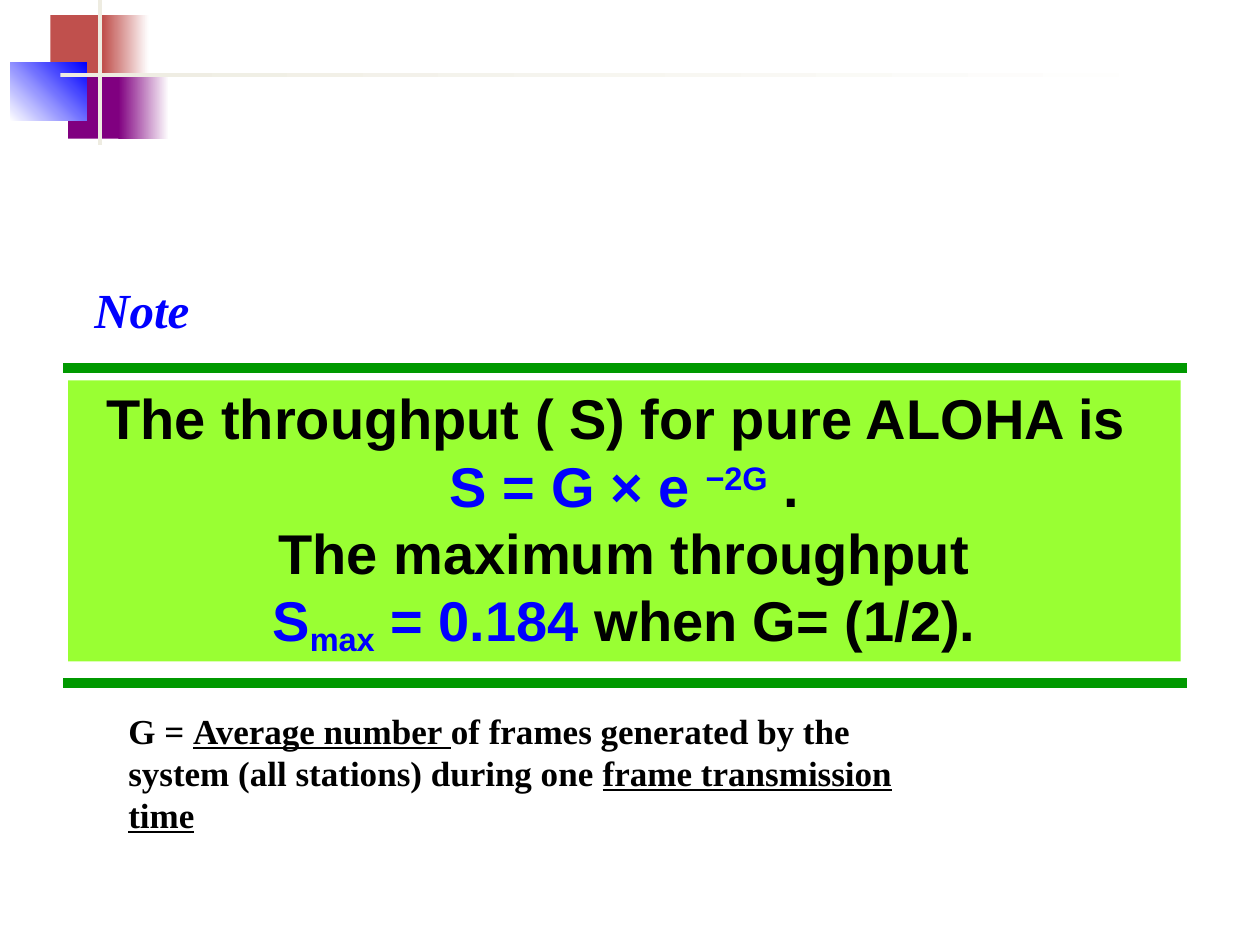
from dataclasses import dataclass
from typing import Optional

import pptx
import pptx.dml.color
import pptx.enum.shapes
import pptx.enum.text
import pptx.oxml.ns
import pptx.util
from lxml import etree

RGBColor = pptx.dml.color.RGBColor
ALIGN = pptx.enum.text.PP_ALIGN
ANCHOR = pptx.enum.text.MSO_ANCHOR
AUTO_SIZE = pptx.enum.text.MSO_AUTO_SIZE

WHITE = RGBColor(0xFF, 0xFF, 0xFF)
BLACK = RGBColor(0x00, 0x00, 0x00)
BLUE = RGBColor(0x00, 0x00, 0xFF)
RED = RGBColor(0xC0, 0x50, 0x4D)
PURPLE = RGBColor(0x80, 0x00, 0x80)
IVORY = RGBColor(0xEE, 0xEC, 0xE1)
GREEN = RGBColor(0x00, 0x99, 0x00)
LIME = RGBColor(0x99, 0xFF, 0x33)

WIDTH, HEIGHT = pptx.util.Inches(10), pptx.util.Inches(7.5)
COLUMNS, ROWS = 100, 75


@dataclass(frozen=True)
class Area:
    column: float
    row: float
    columns: float
    rows: float

    def lengths(self) -> tuple:
        return (x(self.column), y(self.row), x(self.columns), y(self.rows))


@dataclass(frozen=True)
class Block:
    area: Area
    color: RGBColor
    fade_to: Optional[RGBColor] = None
    angle: float = 0


@dataclass(frozen=True)
class Piece:
    text: str
    color: RGBColor = BLACK
    baseline: int = 0
    underline: bool = False
    breaks: bool = False


@dataclass(frozen=True)
class Style:
    font: str
    size: int
    italic: bool = False
    align: ALIGN = ALIGN.LEFT


HEADING = Style("Times New Roman", 28, italic=True)
FORMULA = Style("Arial", 32, align=ALIGN.CENTER)
DEFINITION = Style("Times New Roman", 20)

ORNAMENT = [
    Block(Area(4, 1.2, 4.8, 5.2), RED),
    Block(Area(8.2, 1.2, 3.6, 5.2), RED, WHITE),
    Block(Area(5.4, 5.8, 4.6, 5.2), PURPLE),
    Block(Area(9.4, 5.8, 4, 5.2), PURPLE, WHITE),
    Block(Area(0.8, 5, 6.1, 4.6), WHITE, BLUE, 45),
    Block(Area(7.8, 0, 0.3, 11.5), IVORY),
    Block(Area(4.8, 5.8, 90, 0.3), IVORY, WHITE),
]
RULE_ROWS = (29.2, 54.2)
PANEL = Block(Area(5.4, 30.2, 88.3, 22.3), LIME)
PANEL_TEXT = [
    [
        Piece("The throughput ( S) for pure ALOHA is ", breaks=True),
        Piece("S = G × e ", BLUE),
        Piece("−2G", BLUE, 30),
        Piece(" ."),
    ],
    [Piece("The maximum throughput")],
    [
        Piece("S", BLUE),
        Piece("max", BLUE, -18),
        Piece(" = 0.184 ", BLUE),
        Piece("when G= (1/2)."),
    ],
]
NOTE_TEXT = [[Piece("Note", BLUE)]]
DEFINITION_TEXT = [
    [
        Piece("G = "),
        Piece("Average number ", underline=True),
        Piece("of frames generated by the system (all stations) during one "),
        Piece("frame transmission time", underline=True),
    ]
]


def x(columns: float) -> int:
    return round(WIDTH * columns / COLUMNS)


def y(rows: float) -> int:
    return round(HEIGHT * rows / ROWS)


def draw_block(shapes, block: Block):
    s = shapes.add_shape(
        pptx.enum.shapes.MSO_SHAPE.RECTANGLE, *block.area.lengths()
    )
    s.shadow.inherit = False
    s.line.fill.background()
    if block.fade_to is None:
        s.fill.solid()
        s.fill.fore_color.rgb = block.color
    else:
        s.fill.gradient()
        s.fill.gradient_angle = block.angle
        for stop, color in zip(s.fill.gradient_stops, (block.color, block.fade_to)):
            stop.color.rgb = color
    return s


def draw_rule(shapes, row: float) -> None:
    s = shapes.add_connector(
        pptx.enum.shapes.MSO_CONNECTOR.STRAIGHT, x(5), y(row), x(94.2), y(row)
    )
    s.line.color.rgb = GREEN
    s.line.width = pptx.util.Pt(6)
    etree.SubElement(s._element.spPr, pptx.oxml.ns.qn("a:effectLst"))


def write(tf, paragraphs: list[list[Piece]], style: Style, wrap: bool = True) -> None:
    tf.word_wrap = wrap
    tf.auto_size = AUTO_SIZE.SHAPE_TO_FIT_TEXT
    for index, pieces in enumerate(paragraphs):
        p = tf.add_paragraph() if index else tf.paragraphs[0]
        p.alignment = style.align
        for piece in pieces:
            r = p.add_run()
            r.text = piece.text
            r.font.name = style.font
            r.font.size = pptx.util.Pt(style.size)
            r.font.bold = True
            r.font.italic = style.italic
            r.font.underline = piece.underline
            r.font.color.rgb = piece.color
            if piece.baseline:
                r.font._element.set("baseline", str(piece.baseline * 1000))
            if piece.breaks:
                p.add_line_break()


def main() -> None:
    prs = pptx.Presentation()
    prs.slide_width, prs.slide_height = WIDTH, HEIGHT
    shapes = prs.slides.add_slide(prs.slide_layouts[6]).shapes

    for block in ORNAMENT:
        draw_block(shapes, block)
    for row in RULE_ROWS:
        draw_rule(shapes, row)

    panel = draw_block(shapes, PANEL)
    panel.text_frame.vertical_anchor = ANCHOR.MIDDLE
    write(panel.text_frame, PANEL_TEXT, FORMULA)

    note = shapes.add_textbox(*Area(6.5, 21.7, 9.6, 5.7).lengths())
    write(note.text_frame, NOTE_TEXT, HEADING, wrap=False)

    definition = shapes.add_textbox(*Area(9.2, 55.8, 66.7, 11.1).lengths())
    write(definition.text_frame, DEFINITION_TEXT, DEFINITION)

    prs.save("out.pptx")


if __name__ == "__main__":
    main()
